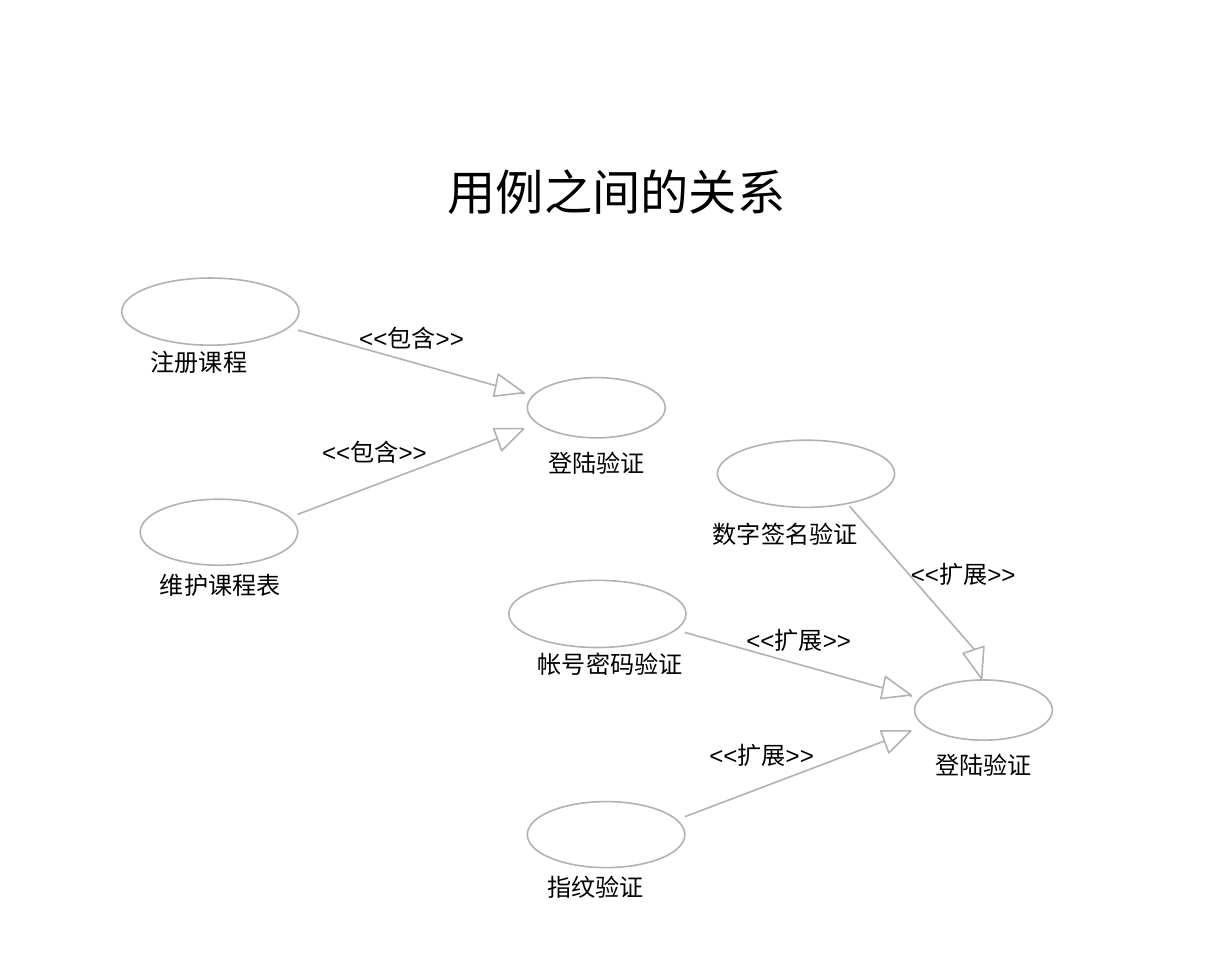
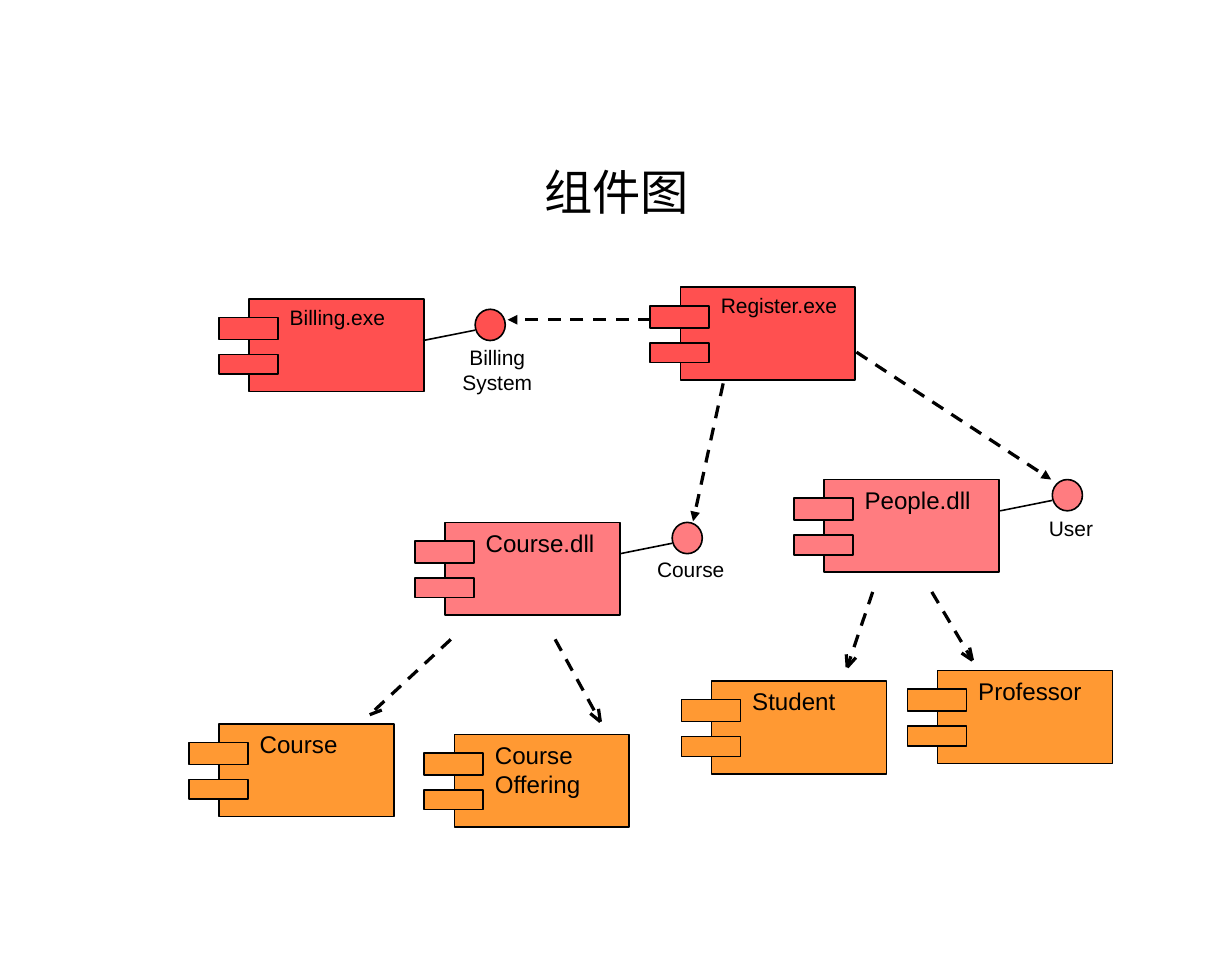
"""Build two UML slides: use case relations and a component diagram."""
from dataclasses import dataclass
from typing import Any, Optional

import lxml.etree
import pptx
import pptx.dml.color
import pptx.enum.dml
import pptx.enum.shapes
import pptx.enum.text
import pptx.oxml.ns
import pptx.util

PX = 9144
SLIDE_SIZE = (1063, 827)
TITLE_ONLY = 5
TITLE_BOX = (80, 119, 904, 92)
STEREOTYPE_SIZE = (106, 25)
TITLE_FONT, BODY_FONT = "Times New Roman", "Arial"
TITLE_SIZE, LABEL_SIZE, SMALL_SIZE = 30, 15, 13

BLACK = pptx.dml.color.RGBColor(0x00, 0x00, 0x00)
WHITE = pptx.dml.color.RGBColor(0xFF, 0xFF, 0xFF)
GREY = pptx.dml.color.RGBColor(0xB2, 0xB2, 0xB2)
RED = pptx.dml.color.RGBColor(0xFF, 0x50, 0x50)
PINK = pptx.dml.color.RGBColor(0xFF, 0x7C, 0x80)
ORANGE = pptx.dml.color.RGBColor(0xFF, 0x99, 0x33)

SHAPE = pptx.enum.shapes.MSO_SHAPE
ANCHOR = pptx.enum.text.MSO_ANCHOR
ALIGN = pptx.enum.text.PP_ALIGN
AUTO = pptx.enum.text.MSO_AUTO_SIZE
Point = tuple[int, int]
Box = tuple[int, int, int, int]


@dataclass(frozen=True)
class UseCase:
    """An ellipse and the name below it."""
    name: str
    oval: Box
    name_at: Point


@dataclass(frozen=True)
class Relation:
    """A line with a hollow arrowhead and a stereotype."""
    start: Point
    end: Point
    head: tuple[Point, Point, Point]
    label_at: Point


@dataclass(frozen=True)
class Component:
    """A component box with two tabs."""
    name: str
    at: Point
    color: pptx.dml.color.RGBColor
    size: int = LABEL_SIZE


@dataclass(frozen=True)
class Interface:
    """A circle joined to a component, with its caption."""
    caption: str
    at: Point
    color: pptx.dml.color.RGBColor
    caption_box: Box


@dataclass(frozen=True)
class Dependency:
    """A dashed line, ended by barbs or else by a triangle."""
    start: Point
    end: Point
    barbs: tuple[Point, ...] = ()


SOURCE_OVALS = ((105, 240, 153, 58), (121, 431, 136, 57))
SOURCE_NAMES_AT = ((130, 300), (138, 492))
TARGET = UseCase("登陆验证", (455, 326, 119, 52), (473, 387))
PAIR = (
    Relation((257, 285), (453, 340), ((452, 339), (430, 323), (426, 342)), (310, 279)),
    Relation((257, 444), (452, 370), ((452, 370), (433, 389), (426, 370)), (278, 378)),
)
FAMILIES = (
    ("<<包含>>", ("注册课程", "维护课程表"), (0, 0)),
    ("<<扩展>>", ("帐号密码验证", "指纹验证"), (334, 261)),
)
SIGNATURE = UseCase("数字签名验证", (619, 380, 153, 58), (615, 448))
SIGNATURE_LINK = Relation((733, 437), (841, 561), ((847, 586), (849, 558), (831, 564)), (786, 483))

COMPONENTS = (
    Component("Course", (189, 625), ORANGE),
    Component("Course\nOffering", (392, 634), ORANGE),
    Component("Student", (614, 588), ORANGE),
    Component("Professor", (809, 579), ORANGE),
    Component("Course.dll", (384, 451), PINK),
    Component("People.dll", (711, 414), PINK),
    Component("Register.exe", (587, 248), RED, SMALL_SIZE),
    Component("Billing.exe", (215, 258), RED, SMALL_SIZE),
)
INTERFACES = (
    Interface("Course", (580, 451), PINK, (561, 478, 70, 27)),
    Interface("User", (908, 414), PINK, (899, 442, 50, 27)),
    Interface("Billing\nSystem", (410, 267), RED, (393, 295, 72, 48)),
)
DEPENDENCIES = (
    Dependency((389, 552), (319, 617), ((332, 612),)),
    Dependency((479, 552), (518, 623), ((516, 609), (507, 614))),
    Dependency((753, 511), (731, 576), ((740, 566), (730, 562))),
    Dependency((804, 511), (839, 570), ((836, 556), (827, 562))),
    Dependency((562, 276), (438, 276)),
    Dependency((624, 331), (598, 450)),
    Dependency((739, 304), (907, 414)),
)


def emu(*lengths: int) -> list[int]:
    """Turn px into EMU."""
    return [length * PX for length in lengths]


def shift(at: tuple[int, ...], by: Point) -> Any:
    """Move a point or box by an offset."""
    return (at[0] + by[0], at[1] + by[1], *at[2:])


def set_format(target: Any, values: dict[str, Any]) -> None:
    """Set each named attribute on the target."""
    for name, value in values.items():
        setattr(target, name, value)


def write(frame: Any, text: str, size: int, font: str = BODY_FONT, align: Any = ALIGN.LEFT,
          insets: Box = (0, 0, 0, 0), **frame_format: Any) -> None:
    """Fill a text frame and format its paragraphs."""
    frame.text = text
    sides = ("margin_left", "margin_top", "margin_right", "margin_bottom")
    set_format(frame, dict(zip(sides, emu(*insets))) | frame_format)
    for paragraph in frame.paragraphs:
        paragraph.alignment = align
        set_format(paragraph.font, {"name": font, "size": pptx.util.Pt(size)})
        paragraph.font.color.rgb = BLACK


def add_label(slide: Any, text: str, box: Box, size: int = LABEL_SIZE, **text_format: Any) -> None:
    """Add an unwrapped text box."""
    label = slide.shapes.add_textbox(*emu(*box))
    write(label.text_frame, text, size, word_wrap=False, auto_size=AUTO.NONE, **text_format)


def paint(shape: Any, line: Any, fill: Optional[Any] = None) -> None:
    """Give a shape a thin outline and a plain or empty fill."""
    shape.shadow.inherit = False
    shape.line.color.rgb = line
    shape.line.width = pptx.util.Pt(1)
    if fill is None:
        shape.fill.background()
    else:
        shape.fill.solid()
        shape.fill.fore_color.rgb = fill


def add_shape(slide: Any, kind: Any, box: Box, line: Any, fill: Optional[Any] = None) -> Any:
    """Add a painted preset shape."""
    shape = slide.shapes.add_shape(kind, *emu(*box))
    paint(shape, line, fill)
    return shape


def add_line(slide: Any, start: Point, end: Point, color: Any,
             dashed: bool = False, arrow: bool = False) -> None:
    """Add a straight line, dashed and arrowed on request."""
    link = slide.shapes.add_connector(
        pptx.enum.shapes.MSO_CONNECTOR.STRAIGHT, *emu(*start, *end))
    link.line.color.rgb = color
    link.line.width = pptx.util.Pt(2 if dashed else 1)
    if dashed:
        link.line.dash_style = pptx.enum.dml.MSO_LINE.DASH
    properties = link._element.spPr
    qn = pptx.oxml.ns.qn
    if arrow:
        lxml.etree.SubElement(properties.find(qn("a:ln")), qn("a:tailEnd"), type="triangle")
    lxml.etree.SubElement(properties, qn("a:effectLst"))


def add_titled_slide(deck: Any, title: str) -> Any:
    """Add a slide with the shared title style."""
    slide = deck.slides.add_slide(deck.slide_layouts[TITLE_ONLY])
    heading = slide.shapes.title
    set_format(heading, dict(zip(("left", "top", "width", "height"), emu(*TITLE_BOX))))
    write(heading.text_frame, title, TITLE_SIZE, TITLE_FONT, ALIGN.CENTER, (11, 5, 11, 5),
          vertical_anchor=ANCHOR.MIDDLE, word_wrap=True, auto_size=AUTO.NONE)
    return slide


def draw_use_case(slide: Any, case: UseCase, by: Point = (0, 0)) -> None:
    """Draw a use case and its name."""
    add_shape(slide, SHAPE.OVAL, shift(case.oval, by), GREY)
    add_label(slide, case.name, (*shift(case.name_at, by), 21 * len(case.name), 25))


def draw_relation(slide: Any, relation: Relation, stereotype: str, by: Point = (0, 0)) -> None:
    """Draw a relation with its arrowhead and stereotype."""
    add_line(slide, shift(relation.start, by), shift(relation.end, by), GREY)
    tip, *base = [shift(corner, by) for corner in relation.head]
    outline = slide.shapes.build_freeform(*tip, scale=PX)
    outline.add_line_segments(base, close=True)
    paint(outline.convert_to_shape(), GREY, WHITE)
    add_label(slide, stereotype, (*shift(relation.label_at, by), *STEREOTYPE_SIZE))


def draw_component(slide: Any, component: Component) -> None:
    """Draw a component with its name and tabs."""
    body = add_shape(slide, SHAPE.RECTANGLE, (*component.at, 151, 80), BLACK, component.color)
    write(body.text_frame, component.name, component.size, insets=(35, 5, 0, 0),
          vertical_anchor=ANCHOR.TOP, word_wrap=True)
    for drop, height in ((16, 19), (48, 17)):
        tab = (*shift(component.at, (-26, drop)), 51, height)
        add_shape(slide, SHAPE.RECTANGLE, tab, BLACK, component.color)


def draw_interface(slide: Any, interface: Interface) -> None:
    """Draw an interface circle, its link and its caption."""
    add_line(slide, shift(interface.at, (-45, 27)), shift(interface.at, (0, 18)), BLACK)
    add_shape(slide, SHAPE.OVAL, (*interface.at, 26, 27), BLACK, interface.color)
    add_label(slide, interface.caption, interface.caption_box, SMALL_SIZE, align=ALIGN.CENTER,
              insets=(6, 2, 6, 2), vertical_anchor=ANCHOR.MIDDLE)


def draw_dependency(slide: Any, dependency: Dependency) -> None:
    """Draw a dashed dependency arrow."""
    add_line(slide, dependency.start, dependency.end, BLACK, True, not dependency.barbs)
    for barb in dependency.barbs:
        add_line(slide, dependency.end, barb, BLACK, True)


def build_use_cases(deck: Any) -> None:
    """Build the use case relations slide."""
    slide = add_titled_slide(deck, "用例之间的关系")
    for stereotype, names, by in FAMILIES:
        for case in map(UseCase, names, SOURCE_OVALS, SOURCE_NAMES_AT):
            draw_use_case(slide, case, by)
        draw_use_case(slide, TARGET, by)
        for relation in PAIR:
            draw_relation(slide, relation, stereotype, by)
    draw_use_case(slide, SIGNATURE)
    draw_relation(slide, SIGNATURE_LINK, "<<扩展>>")


def build_components(deck: Any) -> None:
    """Build the component diagram slide."""
    slide = add_titled_slide(deck, "组件图")
    for component in COMPONENTS:
        draw_component(slide, component)
    for interface in INTERFACES:
        draw_interface(slide, interface)
    for dependency in DEPENDENCIES:
        draw_dependency(slide, dependency)


def main() -> None:
    """Build and save the deck."""
    deck = pptx.Presentation()
    set_format(deck, dict(zip(("slide_width", "slide_height"), emu(*SLIDE_SIZE))))
    build_use_cases(deck)
    build_components(deck)
    deck.save("out.pptx")


if __name__ == "__main__":
    main()
